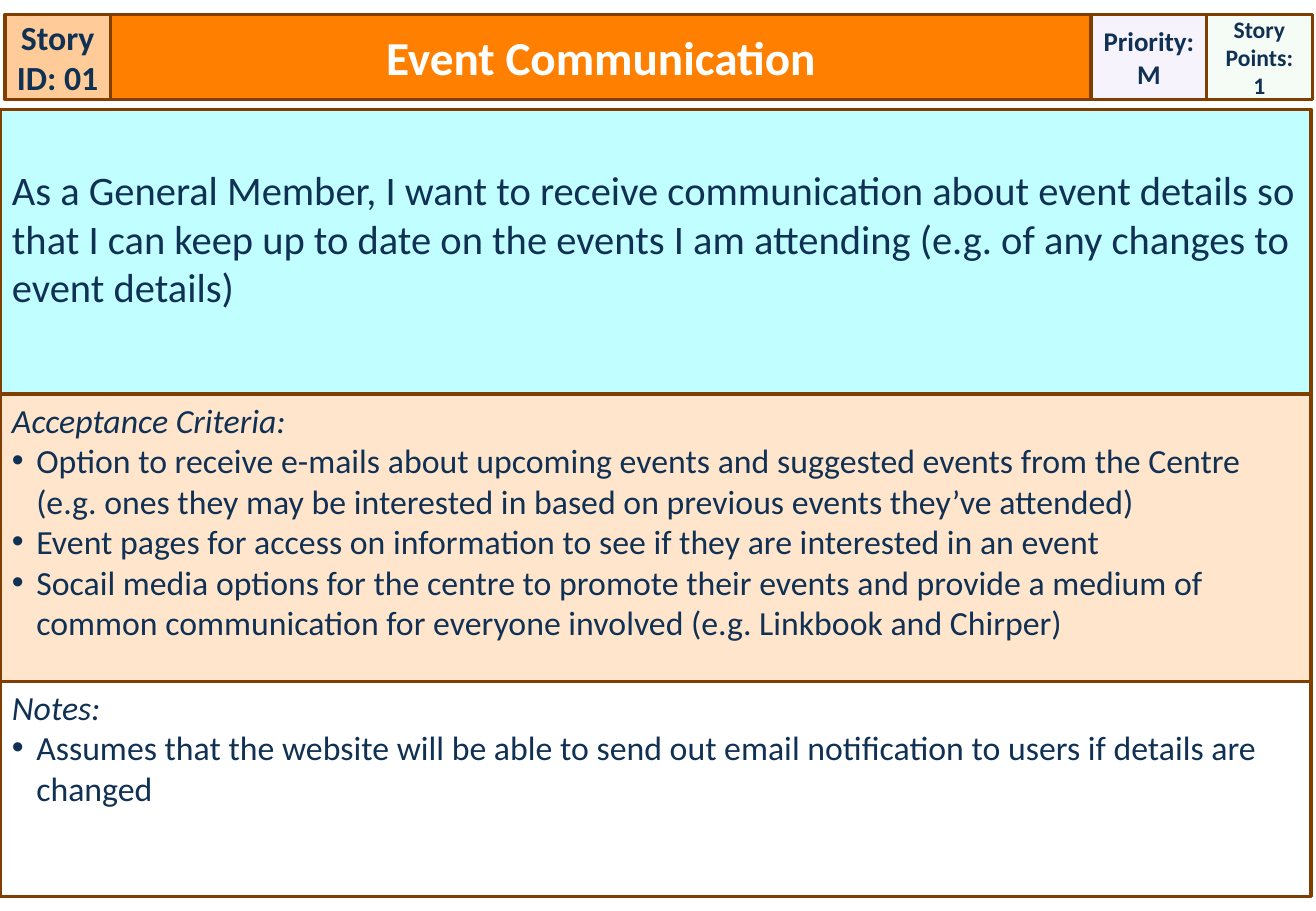
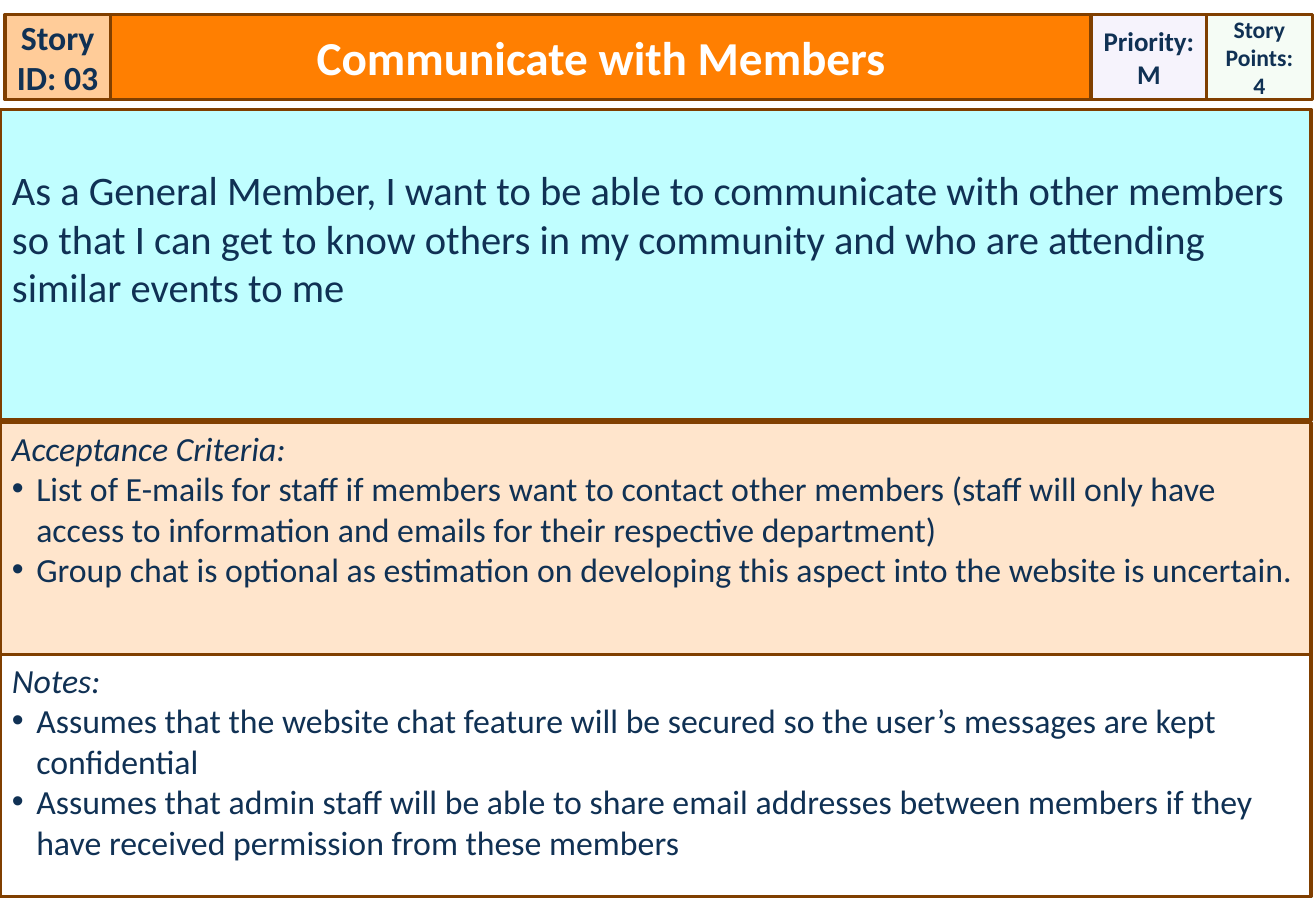
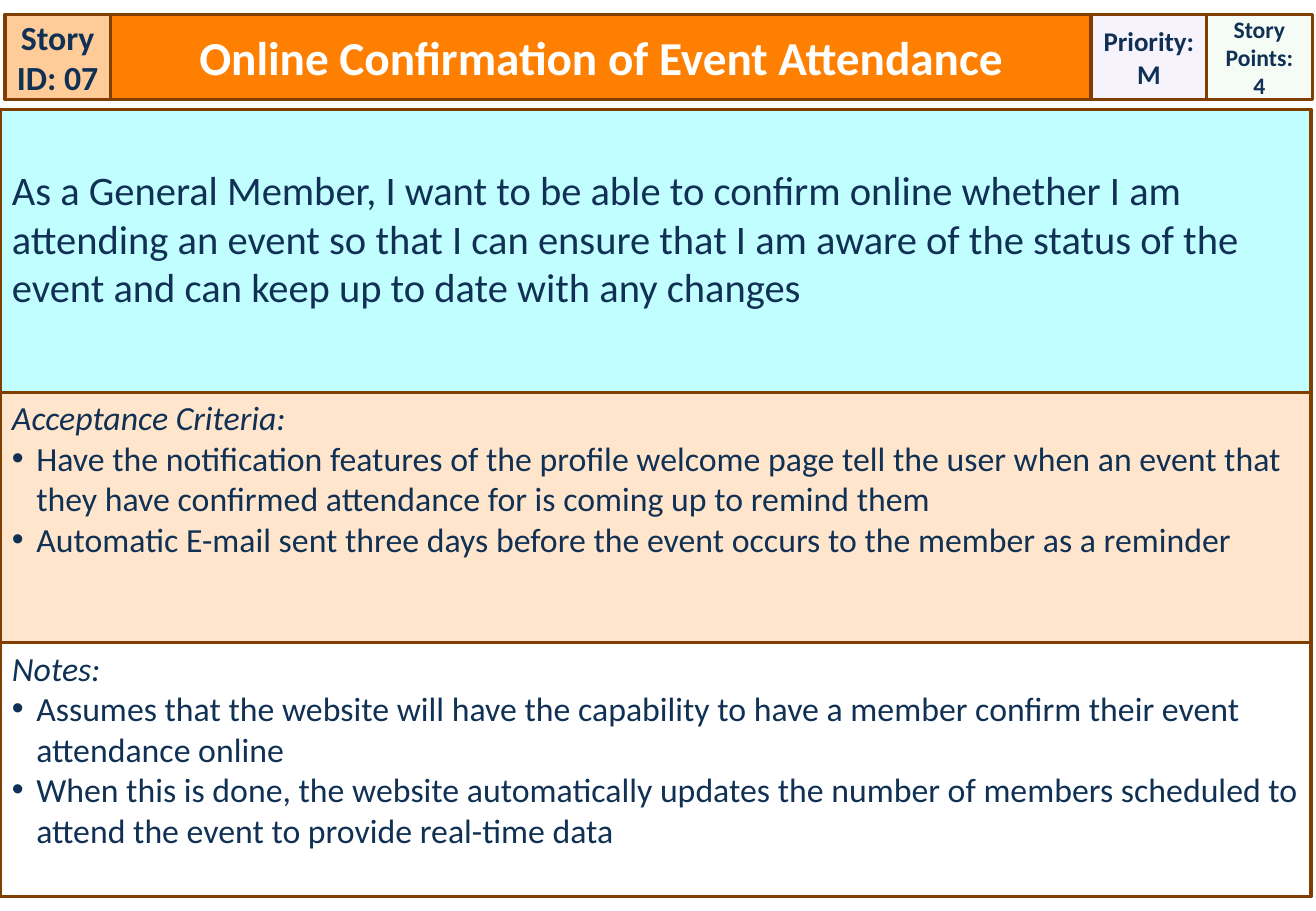
from dataclasses import dataclass
from itertools import accumulate, pairwise
from typing import Any, NamedTuple

from lxml.etree import SubElement
from pptx import Presentation
from pptx.dml.color import RGBColor
from pptx.enum.shapes import MSO_SHAPE
from pptx.enum.text import MSO_ANCHOR, PP_ALIGN
from pptx.oxml.ns import qn
from pptx.slide import Slide
from pptx.util import Inches, Pt


@dataclass(frozen=True)
class Theme:
    font: str = "Calibri"
    ink: str = "103154"
    title_ink: str = "FFFFFF"
    border: str = "803F00"
    border_width: float = 2
    id_fill: str = "FFCC99"
    title_fill: str = "FF7F01"
    priority_fill: str = "F6F3FC"
    points_fill: str = "F5FCF5"
    story_fill: str = "C0FEFF"
    criteria_fill: str = "FFE5CC"
    remarks_fill: str = "FFFFFF"
    title_size: float = 28
    story_size: float = 24
    body_size: float = 20
    priority_size: float = 16
    points_size: float = 14
    bullet_indent: float = 0.2


class Area(NamedTuple):
    left: float
    top: float
    width: float
    height: float


class Insets(NamedTuple):
    left: float = 0.1
    top: float = 0.05
    right: float = 0.1
    bottom: float = 0.05


@dataclass(frozen=True)
class Style:
    fill: str
    size: float
    ink: str
    bold: bool = False
    centred: bool = False
    wrap: bool = True
    insets: Insets = Insets()


@dataclass(frozen=True)
class StoryCard:
    number: str
    title: str
    points: str
    story: str
    criteria: list[str]
    remarks: list[str]
    criteria_top: float
    remarks_top: float
    priority: str = "M"
    story_gap: float = 0


THEME = Theme()
SLIDE_WIDTH, SLIDE_HEIGHT = 10.83, 7.5
HEADER_LEFT, HEADER_TOP, HEADER_HEIGHT = 0.04, 0.12, 0.7
HEADER_WIDTHS = (0.87, 8.07, 0.95, 0.87)
BODY_TOP, BODY_BOTTOM, BODY_WIDTH = 0.9, 7.38, 10.79

NARROW = Insets(left=0, right=0)
LIST_INSETS = Insets(top=0.04)
ID_STYLE = Style(THEME.id_fill, THEME.body_size, THEME.ink, True, True, insets=NARROW)
TITLE_STYLE = Style(THEME.title_fill, THEME.title_size, THEME.title_ink, True, True)
PRIORITY_STYLE = Style(THEME.priority_fill, THEME.priority_size, THEME.ink, True, True,
                       wrap=False, insets=NARROW)
POINTS_STYLE = Style(THEME.points_fill, THEME.points_size, THEME.ink, True, True,
                     insets=NARROW)
STORY_STYLE = Style(THEME.story_fill, THEME.story_size, THEME.ink,
                    insets=Insets(top=0.46))
CRITERIA_STYLE = Style(THEME.criteria_fill, THEME.body_size, THEME.ink,
                       insets=LIST_INSETS)
REMARKS_STYLE = Style(THEME.remarks_fill, THEME.body_size, THEME.ink,
                      insets=LIST_INSETS)

CARDS = [
    StoryCard(
        number="01",
        title="Event Communication",
        points="1",
        story="As a General Member, I want to receive communication about event details "
              "so that I can keep up to date on the events I am attending (e.g. of any "
              "changes to event details)",
        criteria=[
            "Option to receive e-mails about upcoming events and suggested events from "
            "the Centre (e.g. ones they may be interested in based on previous events "
            "they’ve attended)",
            "Event pages for access on information to see if they are interested in an "
            "event",
            "Socail media options for the centre to promote their events and provide a "
            "medium of common communication for everyone involved (e.g. Linkbook and "
            "Chirper)",
        ],
        remarks=[
            "Assumes that the website will be able to send out email notification to "
            "users if details are changed",
        ],
        criteria_top=3.25,
        remarks_top=5.61,
        story_gap=0.01,
    ),
    StoryCard(
        number="03",
        title="Communicate with Members",
        points="4",
        story="As a General Member, I want to be able to communicate with other members "
              "so that I can get to know others in my community and who are attending "
              "similar events to me",
        criteria=[
            "List of E-mails for staff if members want to contact other members (staff "
            "will only have access to information and emails for their respective "
            "department)",
            "Group chat is optional as estimation on developing this aspect into the "
            "website is uncertain.",
        ],
        remarks=[
            "Assumes that the website chat feature will be secured so the user’s "
            "messages are kept confidential",
            "Assumes that admin staff will be able to share email addresses between "
            "members if they have received permission from these members",
        ],
        criteria_top=3.48,
        remarks_top=5.39,
        story_gap=0.02,
    ),
    StoryCard(
        number="07",
        title="Online Confirmation of Event Attendance",
        points="4",
        story="As a General Member, I want to be able to confirm online whether I am "
              "attending an event so that I can ensure that I am aware of the status of "
              "the event and can keep up to date with any changes",
        criteria=[
            "Have the notification features of the profile welcome page tell the user "
            "when an event that they have confirmed attendance for is coming up to "
            "remind them",
            "Automatic E-mail sent three days before the event occurs to the member as "
            "a reminder",
        ],
        remarks=[
            "Assumes that the website will have the capability to have a member confirm "
            "their event attendance online",
            "When this is done, the website automatically updates the number of members "
            "scheduled to attend the event to provide real-time data",
        ],
        criteria_top=3.23,
        remarks_top=5.29,
    ),
]


def apply_format(target: Any, values: dict[str, Any]) -> None:
    for attribute, value in values.items():
        setattr(target, attribute, value)


def add_bullet(paragraph: Any) -> None:
    properties = paragraph._p.get_or_add_pPr()
    indent = Inches(THEME.bullet_indent)
    properties.set("marL", str(indent))
    properties.set("indent", str(-indent))
    SubElement(properties, qn("a:buFont")).set("typeface", "Arial")
    SubElement(properties, qn("a:buChar")).set("char", "•")


def add_panel(slide: Slide, area: Area, style: Style, lines: list[str],
              bullets: list[str] | None = None) -> None:
    """Draw a bordered panel; lines above bullets become an italic heading."""
    bullets = bullets or []
    panel = slide.shapes.add_shape(MSO_SHAPE.RECTANGLE, *map(Inches, area))
    panel.shadow.inherit = False
    panel.fill.solid()
    panel.fill.fore_color.rgb = RGBColor.from_string(style.fill)
    panel.line.color.rgb = RGBColor.from_string(THEME.border)
    panel.line.width = Pt(THEME.border_width)

    frame = panel.text_frame
    apply_format(frame, {
        "word_wrap": style.wrap,
        "vertical_anchor": MSO_ANCHOR.MIDDLE if style.centred else MSO_ANCHOR.TOP,
        **{f"margin_{side}": Inches(inset)
           for side, inset in style.insets._asdict().items()},
    })
    for position, text in enumerate(lines + bullets):
        paragraph = frame.add_paragraph() if position else frame.paragraphs[0]
        paragraph.alignment = PP_ALIGN.CENTER if style.centred else PP_ALIGN.LEFT
        is_bullet = position >= len(lines)
        if is_bullet:
            add_bullet(paragraph)
        run = paragraph.add_run()
        run.text = text
        apply_format(run.font, {
            "name": THEME.font,
            "size": Pt(style.size),
            "bold": style.bold,
            "italic": bool(bullets) and not is_bullet,
        })
        run.font.color.rgb = RGBColor.from_string(style.ink)


def add_header(slide: Slide, card: StoryCard) -> None:
    cells = [
        (ID_STYLE, [f"Story ID: {card.number}"]),
        (TITLE_STYLE, [card.title]),
        (PRIORITY_STYLE, ["Priority:", card.priority]),
        (POINTS_STYLE, ["Story Points:", card.points]),
    ]
    lefts = accumulate(HEADER_WIDTHS, initial=HEADER_LEFT)
    for left, width, (style, lines) in zip(lefts, HEADER_WIDTHS, cells):
        add_panel(slide, Area(left, HEADER_TOP, width, HEADER_HEIGHT), style, lines)


def add_body(slide: Slide, card: StoryCard) -> None:
    sections = [
        (STORY_STYLE, [card.story], [], card.story_gap),
        (CRITERIA_STYLE, ["Acceptance Criteria:"], card.criteria, 0),
        (REMARKS_STYLE, ["Notes:"], card.remarks, 0),
    ]
    edges = pairwise((BODY_TOP, card.criteria_top, card.remarks_top, BODY_BOTTOM))
    for (top, bottom), (style, lines, bullets, gap) in zip(edges, sections):
        area = Area(0, top, BODY_WIDTH, bottom - top - gap)
        add_panel(slide, area, style, lines, bullets)


def main() -> None:
    deck = Presentation()
    deck.slide_width, deck.slide_height = Inches(SLIDE_WIDTH), Inches(SLIDE_HEIGHT)
    blank_layout = deck.slide_layouts[6]
    for card in CARDS:
        slide = deck.slides.add_slide(blank_layout)
        add_header(slide, card)
        add_body(slide, card)
    deck.save("out.pptx")


if __name__ == "__main__":
    main()
